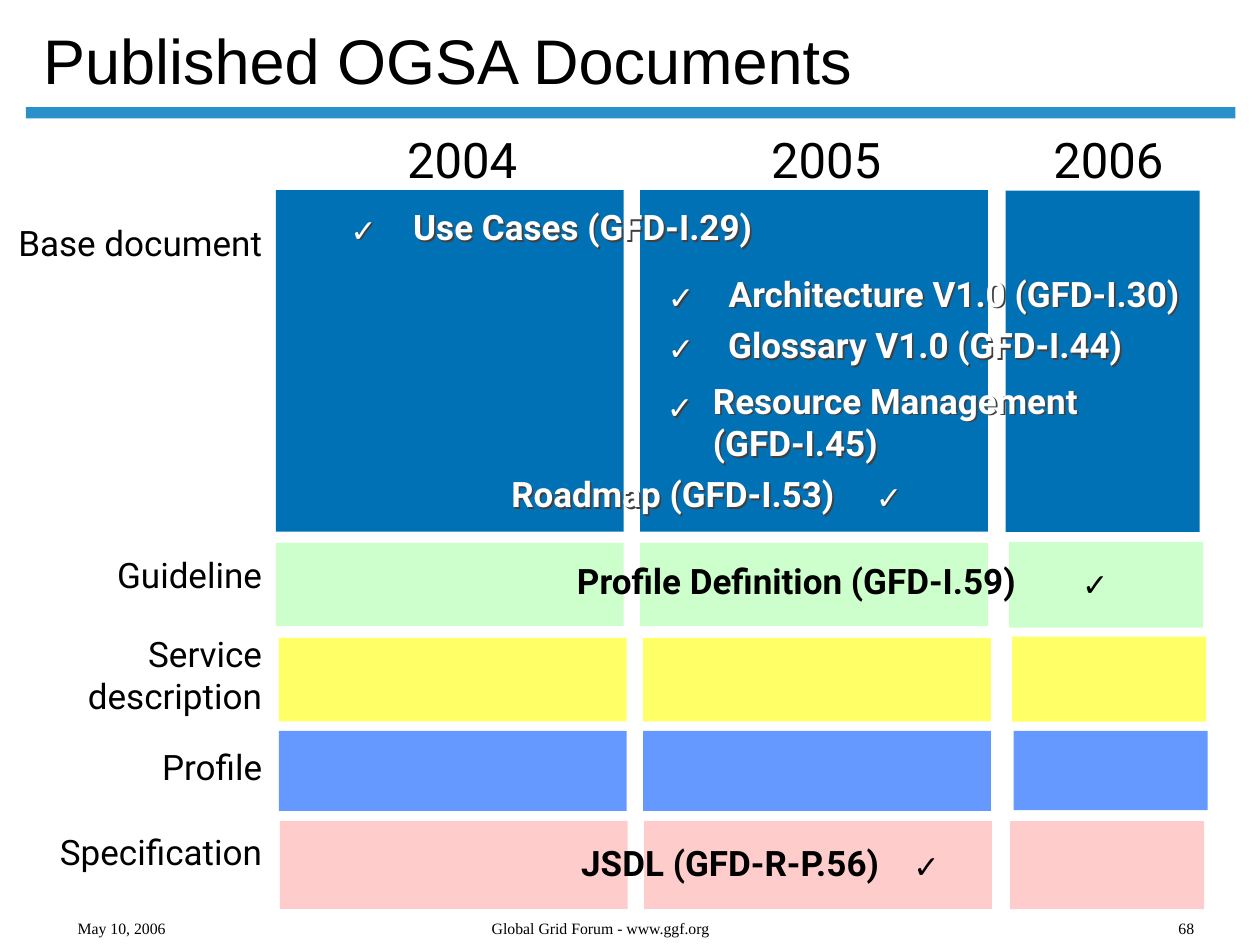
from lxml import etree
from pptx import Presentation
from pptx.dml.color import RGBColor
from pptx.enum.shapes import MSO_SHAPE
from pptx.enum.text import MSO_ANCHOR, PP_ALIGN
from pptx.oxml.ns import qn
from pptx.util import Pt

BLACK = RGBColor(0x00, 0x00, 0x00)
WHITE = RGBColor(0xFF, 0xFF, 0xFF)
RULE_BLUE = RGBColor(0x29, 0x90, 0xCA)
DEEP_BLUE = RGBColor(0x00, 0x71, 0xB5)
GREEN = RGBColor(0xCC, 0xFF, 0xCC)
YELLOW = RGBColor(0xFF, 0xFF, 0x66)
BLUE = RGBColor(0x66, 0x99, 0xFF)
PINK = RGBColor(0xFF, 0xCC, 0xCC)

TITLE = "Published OGSA Documents"
YEARS = [("2004", 264), ("2005", 472.1), ("2006", 633.4)]  # centre of each heading
COLUMN_WIDTHS = (198.7, 198.7, 110.9)
LABEL_WIDTH = 149.8

# label, label top, label height, colour, column lefts, (top, height) of wide and of last cells
ROWS = [
    ("Base document", 126.7, 24, DEEP_BLUE, (157.7, 365.8, 574.6), (108.7, 195.1), (108.9, 195.1)),
    ("Guideline", 316.1, 24, GREEN, (157.7, 365.8, 576.7), (310.3, 47.5), (309.6, 49)),
    ("Service description", 361.4, 48, YELLOW, (159.4, 367.5, 578.4), (364.5, 47.8), (363.8, 48.6)),
    ("Profile", 426.2, 24, BLUE, (159.4, 367.5, 579.3), (417.7, 45.6), (417.6, 45.4)),
    ("Specification", 474.5, 24, PINK, (160, 368.1, 577.3), (469.1, 50.3), (469.2, 50.4)),
]

# text, left, top, width, tick left, tick top, colour
DOCUMENTS = [
    ("Use Cases (GFD-I.29)", 229, 113.8, 215.3, 193.2, 116.8, WHITE),
    ("Architecture V1.0 (GFD-I.30)", 409.3, 151.9, 289.4, 374.6, 155.4, WHITE),
    ("Glossary V1.0 (GFD-I.44)", 409, 181.4, 248.4, 374.6, 184.3, WHITE),
    ("Resource Management\n(GFD-I.45)", 400.3, 213.2, 250.6, 374, 218.4, WHITE),
    ("Roadmap (GFD-I.53)", 285.1, 266.6, 211, 493.4, 269.4, WHITE),
    ("Profile Definition (GFD-I.59)", 322.6, 316.1, 287.3, 611.3, 319.1, BLACK),
    ("JSDL (GFD-R-P.56)", 325, 477.4, 190, 514.8, 480.3, BLACK),
]

FOOTERS = [
    ("May 10, 2006", 0, 139),
    ("Global Grid Forum - www.ggf.org", 167.8, 350.6),
    ("68", 648, 59.8),
]


def add_block(slide, left, top, width, height, color):
    shape = slide.shapes.add_shape(
        MSO_SHAPE.RECTANGLE, Pt(left), Pt(top), Pt(width), Pt(height))
    shape.shadow.inherit = False
    shape.fill.solid()
    shape.fill.fore_color.rgb = color
    shape.line.fill.background()


def add_letter_shadow(box):
    """Give the unfilled box a shadow, which its letters then cast."""
    effects = etree.SubElement(box._element.spPr, qn("a:effectLst"))
    shadow = etree.SubElement(effects, qn("a:outerShdw"), blurRad="0",
                              dist=str(Pt(1.4)), dir="2700000", algn="tl", rotWithShape="0")
    etree.SubElement(shadow, qn("a:srgbClr"), val="404040")


def add_text(slide, text, left, top, width, height, size, font="Roboto", color=BLACK,
             bold=False, align=PP_ALIGN.LEFT, anchor=MSO_ANCHOR.TOP,
             inset=(7.2, 3.6), line_spacing=None):
    box = slide.shapes.add_textbox(Pt(left), Pt(top), Pt(width), Pt(height))
    if color == WHITE:
        add_letter_shadow(box)
    frame = box.text_frame
    frame.word_wrap = True
    frame.vertical_anchor = anchor
    frame.margin_left = frame.margin_right = Pt(inset[0])
    frame.margin_top = frame.margin_bottom = Pt(inset[1])
    frame.text = text
    for paragraph in frame.paragraphs:
        paragraph.alignment = align
        if line_spacing:
            paragraph.line_spacing = line_spacing
        for run in paragraph.runs:
            run.font.size = Pt(size)
            run.font.name = font
            run.font.bold = bold
            run.font.color.rgb = color


def main():
    presentation = Presentation()
    presentation.slide_width, presentation.slide_height = Pt(720), Pt(540)
    slide = presentation.slides.add_slide(presentation.slide_layouts[6])

    add_block(slide, 14.8, 61.2, 691.2, 6.5, RULE_BLUE)
    add_text(slide, TITLE, 17.6, 9.4, 616.3, 50.4, 36, "Arial",
             anchor=MSO_ANCHOR.BOTTOM, line_spacing=0.9)

    for year, center in YEARS:
        add_text(slide, year, center - 45, 73.9, 90, 33.8, 28,
                 align=PP_ALIGN.CENTER, inset=(7.2, 0))

    for label, label_top, label_height, color, lefts, wide, last in ROWS:
        for left, width, (top, height) in zip(lefts, COLUMN_WIDTHS, (wide, wide, last)):
            add_block(slide, left, top, width, height, color)
        add_text(slide, label, 0, label_top, LABEL_WIDTH, label_height, 20,
                 align=PP_ALIGN.RIGHT, inset=(0, 0))

    for name, left, top, width, tick_left, tick_top, color in DOCUMENTS:
        height = 7.7 + 24 * len(name.split("\n"))
        add_text(slide, name, left, top, width, height, 20, color=color, bold=True)
        add_text(slide, "✓", tick_left, tick_top, 28.8, 28.8, 18, "Arial", color, bold=True)

    for text, left, width in FOOTERS:
        add_text(slide, text, left, 522, width, 17.3, 9, "Times New Roman",
                 align=PP_ALIGN.CENTER, anchor=MSO_ANCHOR.BOTTOM)

    presentation.save("out.pptx")


if __name__ == "__main__":
    main()
